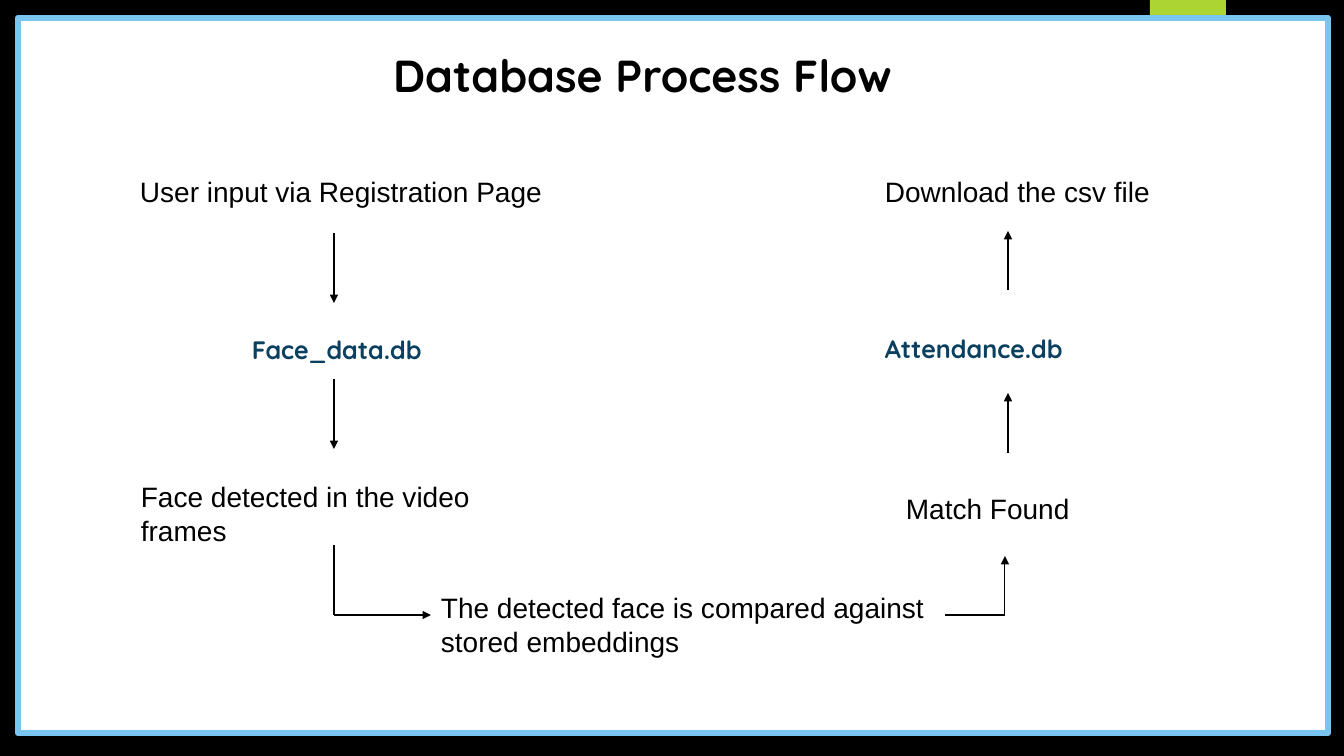
from lxml.etree import SubElement
from pptx import Presentation
from pptx.dml.color import RGBColor
from pptx.enum.shapes import MSO_CONNECTOR, MSO_SHAPE
from pptx.enum.text import MSO_ANCHOR, MSO_AUTO_SIZE, PP_ALIGN
from pptx.oxml.ns import qn
from pptx.util import Pt

PX = 12192000 / 1344
BLACK, NAVY = "000000", "0B4060"


def color(hex_code):
    return RGBColor.from_string(hex_code)


def write(shape, box, text, font_name, size, hex_code, bold=False):
    """Place a text shape and fill it with one left-aligned paragraph."""
    shape.left, shape.top, shape.width, shape.height = [round(v * PX) for v in box]
    frame = shape.text_frame
    frame.word_wrap = True
    frame.auto_size = MSO_AUTO_SIZE.SHAPE_TO_FIT_TEXT
    frame.vertical_anchor = MSO_ANCHOR.TOP
    frame.text = text
    paragraph = frame.paragraphs[0]
    paragraph.alignment = PP_ALIGN.LEFT
    paragraph.line_spacing = 1.0
    paragraph.font.name = font_name
    paragraph.font.size = Pt(size)
    paragraph.font.bold = bold
    paragraph.font.color.rgb = color(hex_code)


presentation = Presentation()
presentation.slide_width = round(1344 * PX)
presentation.slide_height = round(756 * PX)
slide = presentation.slides.add_slide(presentation.slide_layouts[5])
slide.background.fill.solid()
slide.background.fill.fore_color.rgb = color(BLACK)

# Green tab behind the framed white panel
panels = [
    ((1150, 0, 76, 126), "ACD433", None),
    ((18, 18, 1310, 715), "FFFFFF", "7AC4F0"),
]
for box, fill, border in panels:
    panel = slide.shapes.add_shape(MSO_SHAPE.RECTANGLE, *[round(v * PX) for v in box])
    panel.shadow.inherit = False
    panel.fill.solid()
    panel.fill.fore_color.rgb = color(fill)
    if border:
        panel.line.color.rgb = color(border)
        panel.line.width = Pt(4.5)
    else:
        panel.line.fill.background()

# Steps of the flow
databases = [
    ((242, 329, 227, 40), "Face_data.db"),
    ((875, 328, 266, 40), "Attendance.db"),
]
for box, text in databases:
    write(slide.shapes.add_textbox(0, 0, 0, 0), box, text, "Quicksand", 18, NAVY, True)

steps = [
    ((130, 170, 455, 44), "User input via Registration Page"),
    ((131, 475, 417, 78), "Face detected in the video frames"),
    ((431, 586, 515, 78), "The detected face is compared against stored embeddings"),
    ((896, 487, 317, 44), "Match Found"),
    ((875, 170, 316, 44), "Download the csv file"),
]
for box, text in steps:
    write(slide.shapes.add_textbox(0, 0, 0, 0), box, text, "Arial", 20, BLACK)

# Lines between the steps: start, end, arrowhead at the end
lines = [
    ((334, 233), (334, 303), True),
    ((334, 379), (334, 449), True),
    ((334, 545), (334, 615), False),
    ((334, 615), (431, 615), True),
    ((945, 615), (1005, 615), False),
    ((1005, 615), (1005, 556), True),
    ((1008, 453), (1008, 393), True),
    ((1008, 290), (1008, 231), True),
]
for start, end, has_arrow in lines:
    connector = slide.shapes.add_connector(
        MSO_CONNECTOR.STRAIGHT, *[round(v * PX) for v in start + end])
    connector.line.color.rgb = color(BLACK)
    connector.line.width = Pt(0.75)
    if has_arrow:
        SubElement(connector.line._get_or_add_ln(), qn("a:tailEnd"), type="triangle")
    SubElement(connector._element.spPr, qn("a:effectLst"))

# Title, brought in front of the panel
title = slide.shapes.title
write(title, (383, 43, 557, 65), "Database Process Flow", "Quicksand", 32, BLACK, True)
slide.shapes._spTree.append(title._element)

presentation.save("out.pptx")
